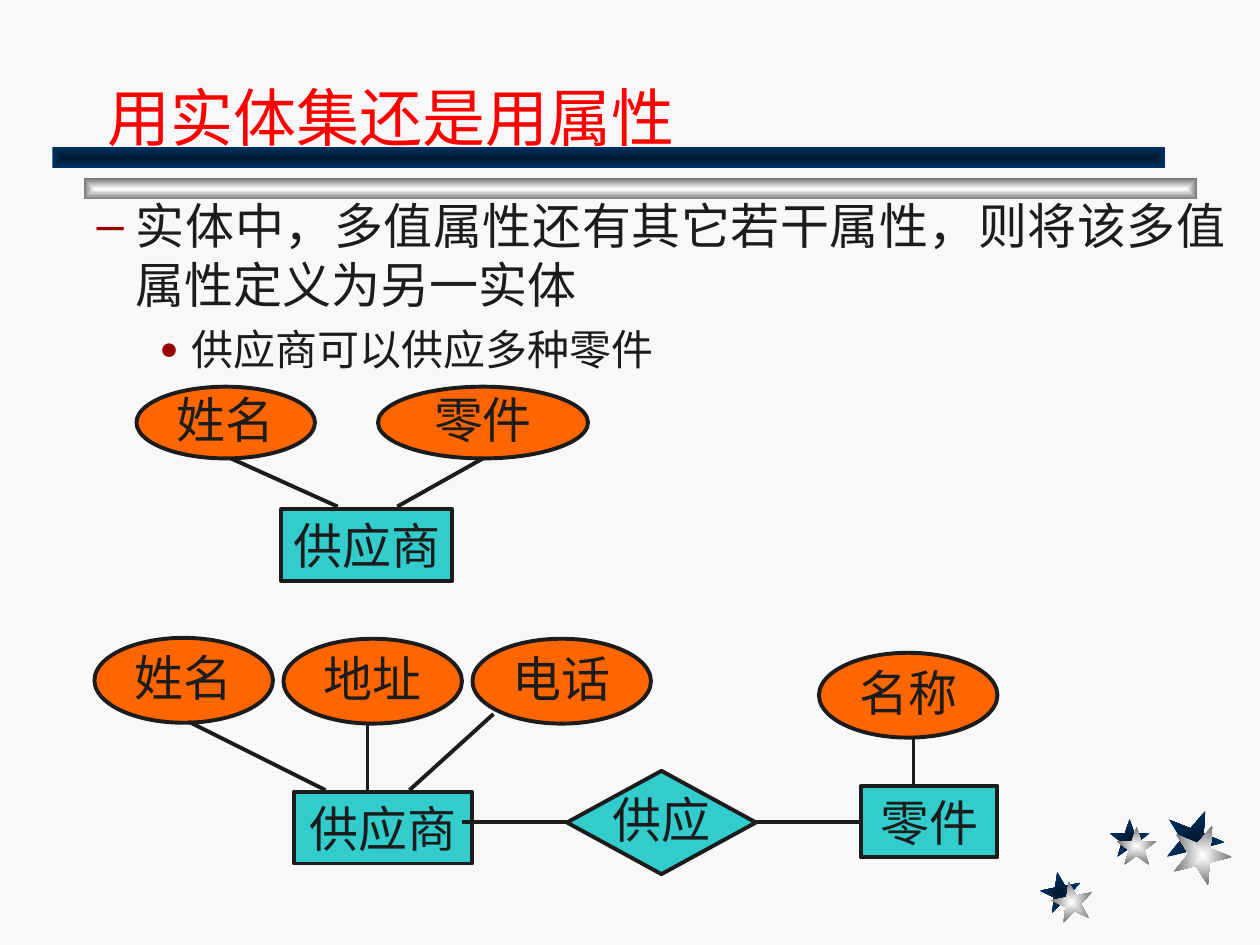
import math

import lxml.etree
import pptx
import pptx.dml.color
import pptx.enum.shapes
import pptx.enum.text
import pptx.oxml
import pptx.oxml.ns
import pptx.util

Pt = pptx.util.Pt
qn = pptx.oxml.ns.qn
RGB = pptx.dml.color.RGBColor.from_string
SHAPE = pptx.enum.shapes.MSO_SHAPE
ALIGN = pptx.enum.text.PP_ALIGN
ANCHOR = pptx.enum.text.MSO_ANCHOR

COLORS = {
    "background": "F8F8F8", "title": "FF0000", "text": "1C1C1C", "bullet": "990000",
    "attribute": "FF6600", "entity": "33CCCC",
}
GRADIENTS = {"navy": ("00182F", "003366"), "silver": ("FFFFFF", "767676")}


def fill_from_center(shape, name):
    """Fill a borderless shape with a rectangular gradient, first colour in the middle."""
    shape.shadow.inherit = False
    shape.line.fill.background()
    shape.fill.gradient()
    for stop, position, color in zip(shape.fill.gradient_stops, (0, 1), GRADIENTS[name]):
        stop.position = position
        stop.color.rgb = RGB(color)
    gradient = shape._element.spPr.find(qn("a:gradFill"))
    gradient.remove(gradient.find(qn("a:lin")))
    path = lxml.etree.SubElement(gradient, qn("a:path"), path="rect")
    lxml.etree.SubElement(path, qn("a:fillToRect"), l="50000", t="50000", r="50000", b="50000")


def format_runs(paragraph, size, color, font):
    for run in paragraph.runs:
        run.font.size = Pt(size)
        run.font.name = font
        run.font.bold = False
        run.font.color.rgb = RGB(COLORS[color])


presentation = pptx.Presentation()
presentation.slide_width = Pt(720)
presentation.slide_height = Pt(540)
slide = presentation.slides.add_slide(presentation.slide_layouts[1])
slide.background.fill.solid()
slide.background.fill.fore_color.rgb = RGB(COLORS["background"])
shapes = slide.shapes

# Corner stars: centre, radius, clockwise turn in degrees
stars = [
    ("navy", 606.5, 510.5, 12.5, -11),
    ("navy", 645.5, 480, 12, 0),
    ("navy", 682, 480, 18, 22),
    ("silver", 613, 516, 12.5, -11),
    ("silver", 649.5, 484.5, 12, 0),
    ("silver", 686, 488.5, 18, 22),
]
for gradient_name, center_x, center_y, radius, turn in stars:
    points = []
    for corner in range(10):
        angle = math.radians(turn + 36 * corner)
        reach = radius * (0.38 if corner % 2 else 1)
        points.append((Pt(center_x + reach * math.sin(angle)), Pt(center_y - reach * math.cos(angle))))
    builder = shapes.build_freeform(*points[0])
    builder.add_line_segments(points[1:], close=True)
    fill_from_center(builder.convert_to_shape(), gradient_name)

# Bars under the title
for gradient_name, left, top in [("silver", 48, 102), ("navy", 30, 84)]:
    bar = shapes.add_shape(SHAPE.RECTANGLE, Pt(left), Pt(top), Pt(636), Pt(12))
    fill_from_center(bar, gradient_name)

# Title and list, in front of the bars
title = shapes.title
body = slide.placeholders[1]
for placeholder, box, anchor in [
    (title, (54, 18, 613.5, 73.5), ANCHOR.BOTTOM),
    (body, (12, 108, 696, 120), ANCHOR.TOP),
]:
    shapes._spTree.append(placeholder._element)
    placeholder.left, placeholder.top, placeholder.width, placeholder.height = map(Pt, box)
    placeholder.text_frame.vertical_anchor = anchor
    placeholder.text_frame.auto_size = pptx.enum.text.MSO_AUTO_SIZE.NONE

title.text_frame.text = "用实体集还是用属性"
title.text_frame.paragraphs[0].alignment = ALIGN.LEFT
format_runs(title.text_frame.paragraphs[0], 36, "title", "Roboto")

# Text, level, size, space before, left margin, indent, bullet, bullet size
items = [
    ("实体中，多值属性还有其它若干属性，则将该多值属性定义为另一实体", 1, 28, 7, 58.5, -22.5, "–", 100),
    ("供应商可以供应多种零件", 2, 24, 6, 90, -18, "●", 75),
]
body.text_frame.text = "\n".join(item[0] for item in items)
for paragraph, item in zip(body.text_frame.paragraphs, items):
    level, size, space, margin, indent, bullet, bullet_size = item[1:]
    paragraph.level = level
    paragraph.alignment = ALIGN.JUSTIFY
    paragraph.space_before = Pt(space)
    format_runs(paragraph, size, "text", "Roboto")
    properties = paragraph._p.get_or_add_pPr()
    properties.set("marL", str(Pt(margin)))
    properties.set("indent", str(Pt(indent)))
    bullet_color = lxml.etree.SubElement(properties, qn("a:buClr"))
    lxml.etree.SubElement(bullet_color, qn("a:srgbClr"), val=COLORS["bullet"])
    lxml.etree.SubElement(properties, qn("a:buSzPct"), val=str(bullet_size * 1000))
    lxml.etree.SubElement(properties, qn("a:buChar"), char=bullet)

# Entity-relationship diagrams: kind, text, left, top, width, height
KINDS = {
    "entity": (SHAPE.RECTANGLE, "entity", 17.5, 1.0),
    "attribute": (SHAPE.OVAL, "attribute", 7, 0.9),
    "relationship": (SHAPE.DIAMOND, "entity", 7, 0.9),
}
nodes = [
    ("entity", "供应商", 160.5, 291, 98, 41),
    ("attribute", "姓名", 78, 221, 102, 41),
    ("attribute", "零件", 216, 221, 120, 41),
    ("entity", "零件", 492, 449, 78, 41),
    ("relationship", "供应", 324, 440.5, 108, 59),
    ("attribute", "名称", 468, 373, 102, 48.5),
    ("entity", "供应商", 168, 452.5, 102, 41),
    ("attribute", "姓名", 54, 364.5, 102, 48.5),
    ("attribute", "地址", 162, 365, 102, 48.5),
    ("attribute", "电话", 270, 365, 102, 48.5),
]
for kind, text, *box in nodes:
    preset, color, space, spacing = KINDS[kind]
    node = shapes.add_shape(preset, *map(Pt, box))
    node.shadow.inherit = False
    node.fill.solid()
    node.fill.fore_color.rgb = RGB(COLORS[color])
    node.line.color.rgb = RGB(COLORS["text"])
    node.line.width = Pt(2.25)
    node.text_frame.text = text
    node.text_frame.word_wrap = False
    node.text_frame.vertical_anchor = ANCHOR.MIDDLE
    paragraph = node.text_frame.paragraphs[0]
    paragraph.alignment = ALIGN.CENTER
    paragraph.space_before = Pt(space)
    paragraph.line_spacing = spacing
    format_runs(paragraph, 28, "text", "Times New Roman")

links = [
    (276, 262, 227, 289.5),
    (193, 289.5, 132, 262),
    (264, 469.5, 324, 469.5),
    (432, 469.5, 492, 469.5),
    (522, 448, 522, 421.5),
    (186, 451.5, 108, 412.5),
    (210, 451.5, 210, 414),
    (234, 451.5, 282, 408),
]
for ends in links:
    link = shapes.add_connector(pptx.enum.shapes.MSO_CONNECTOR.STRAIGHT, *map(Pt, ends))
    link.line.color.rgb = RGB(COLORS["text"])
    link.line.width = Pt(2.25)
    lxml.etree.SubElement(link._element.spPr, qn("a:effectLst"))

presentation.save("out.pptx")
